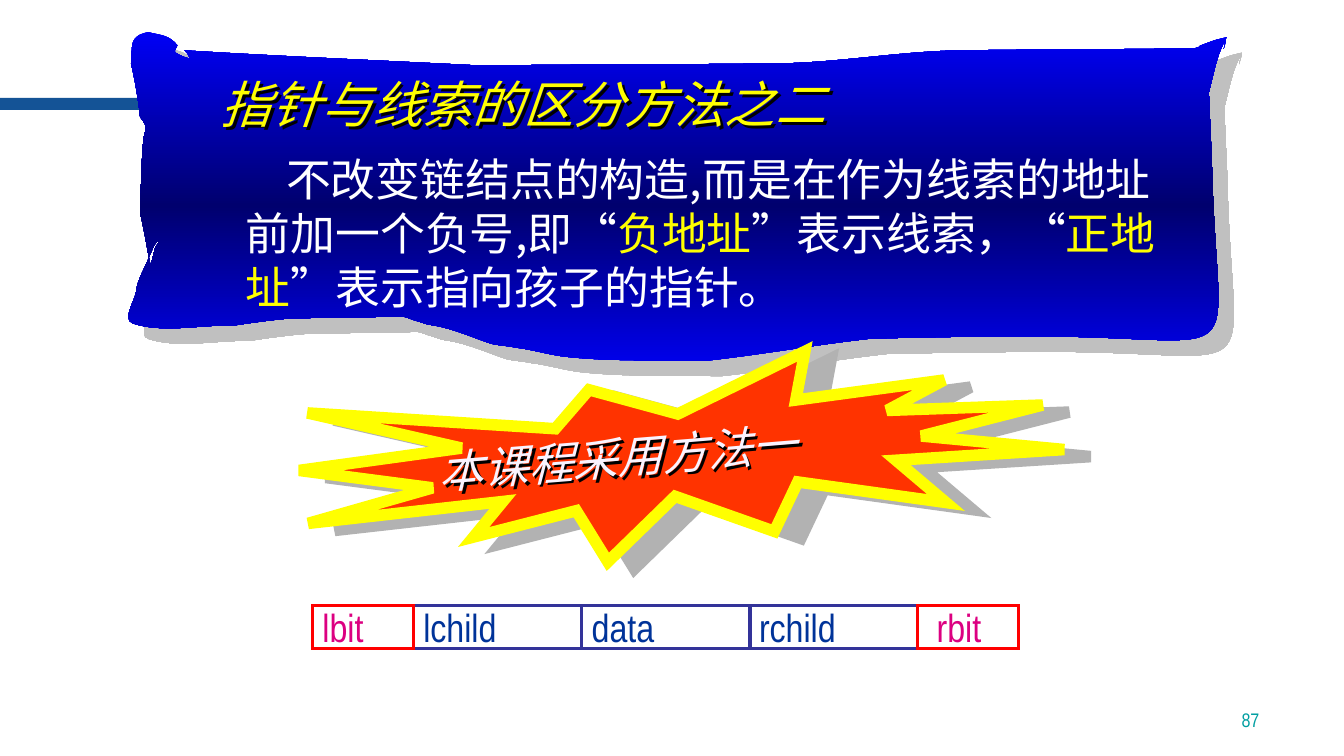
from lxml.etree import SubElement
from pptx import Presentation
from pptx.dml.color import RGBColor
from pptx.enum.shapes import MSO_CONNECTOR, MSO_SHAPE
from pptx.enum.text import MSO_ANCHOR, PP_ALIGN
from pptx.oxml import parse_xml
from pptx.oxml.ns import nsdecls, qn
from pptx.util import Inches, Pt

HEX = dict(bar="145396", blue="0000FF", deep="00006E", white="FFFFFF",
           yellow="FFFF00", shade="C0C0C0", red="FF3300", gray="B2B2B2",
           pale="F9F3FF", navy="003399", edge="333399", hot="FF0000",
           pink="DC0081", teal="009EA1", black="000000")
LATIN, HAN = "Arial Narrow", "Noto Sans CJK SC"

TITLE = "指针与线索的区分方法之二"
BODY = [
    ("不改变链结点的构造,而是在作为线索的地址前加一个负号,即", HAN, "white"),
    ("“", LATIN, "white"), ("负地址", HAN, "yellow"), ("”", LATIN, "white"),
    ("表示线索，", HAN, "white"),
    ("“", LATIN, "white"), ("正地址", HAN, "yellow"), ("”", LATIN, "white"),
    ("表示指向孩子的指针。", HAN, "white"),
]
BURST = "本课程采用方法一"
NUMBER = "87"
FIELDS = [("lchild", 4.1, 1.67, 0.1, "edge", "navy"),
          ("data", 5.77, 1.67, 0.1, "edge", "navy"),
          ("rchild", 7.43, 1.67, 0.1, "edge", "navy"),
          ("lbit", 3.1, 1, 0.1, "hot", "pink"),
          ("rbit", 9.1, 1, 0.19, "hot", "pink")]
START = (1.83, 0.5)
CURVES = [
    (2.8, 0.56, 3.78, 0.6, 4.75, 0.65), (5.74, 0.64, 6.74, 0.64, 7.73, 0.63),
    (8.33, 0.62, 8.93, 0.51, 9.52, 0.5), (10.3, 0.49, 11.07, 0.49, 11.85, 0.48),
    (12.09, 0.4, 11.72, 0.52, 12.02, 0.41), (12.07, 0.39, 12.17, 0.37, 12.17, 0.37),
    (12.08, 0.69, 12.22, 0.21, 12.09, 0.54), (12.05, 0.66, 12.02, 0.8, 11.99, 0.92),
    (12, 1.14, 12.01, 1.37, 12.02, 1.6), (12.07, 3.87, 12.54, 3.3, 9.96, 3.34),
    (9.52, 3.34, 9.08, 3.35, 8.64, 3.36), (8.09, 3.42, 7.55, 3.52, 7, 3.58),
    (6.54, 3.57, 6.07, 3.59, 5.61, 3.54), (5.44, 3.52, 5.29, 3.47, 5.12, 3.45),
    (5.03, 3.43, 4.95, 3.43, 4.87, 3.41), (4.72, 3.36, 4.56, 3.29, 4.4, 3.25),
    (4.34, 3.23, 4.27, 3.23, 4.21, 3.21), (4.16, 3.19, 4.11, 3.18, 4.06, 3.16),
    (4.04, 3.15, 3.99, 3.14, 3.99, 3.14), (3.62, 3.15, 3.26, 3.15, 2.89, 3.16),
    (2.7, 3.17, 2.32, 3.23, 2.32, 3.23), (1.99, 3.22, 1.63, 3.31, 1.32, 3.21),
    (1.21, 3.17, 1.33, 3, 1.35, 2.9), (1.36, 2.77, 1.45, 2.65, 1.49, 2.52),
    (1.5, 2.51, 1.54, 2.39, 1.57, 2.39), (1.59, 2.39, 1.55, 2.44, 1.54, 2.46),
    (1.48, 2.67, 1.55, 2.48, 1.49, 2.63), (1.46, 2.46, 1.43, 2.28, 1.39, 2.11),
    (1.4, 1.88, 1.4, 1.65, 1.42, 1.42), (1.43, 1.26, 1.49, 1.29, 1.39, 1.16),
    (1.37, 0.98, 1.34, 0.8, 1.3, 0.63), (1.32, 0.46, 1.27, 0.36, 1.47, 0.32),
    (1.6, 0.35, 1.68, 0.35, 1.76, 0.45), (1.75, 0.48, 1.72, 0.51, 1.74, 0.52),
    (1.77, 0.55, 1.91, 0.6, 1.88, 0.57), (1.87, 0.54, 1.85, 0.52, 1.83, 0.5),
]


def color(name):
    return RGBColor.from_string(HEX[name])


def cast(shape, tint, dist, angle):
    props = shape._element.spPr
    for old in props.findall(qn("a:effectLst")):
        props.remove(old)
    props.append(parse_xml(
        f'<a:effectLst {nsdecls("a")}><a:outerShdw blurRad="0" '
        f'dist="{Pt(dist)}" dir="{angle * 60000}" algn="ctr" rotWithShape="0">'
        f'<a:srgbClr val="{HEX[tint]}"/></a:outerShdw></a:effectLst>'))


def style(run, size, tint, face=LATIN, slant=False):
    font = run.font
    font.size, font.name = Pt(size), face
    font.bold, font.italic = False, slant
    font.color.rgb = color(tint)
    SubElement(font._element, qn("a:ea")).set("typeface", HAN)


def box(slide, x, y, w, h):
    text = slide.shapes.add_textbox(Inches(x), Inches(y), Inches(w), Inches(h))
    text.text_frame.word_wrap = True
    return text


def block(slide, kind, x, y, w, h, fill=None, line=None, width=2.25):
    shape = slide.shapes.add_shape(kind, Inches(x), Inches(y), Inches(w), Inches(h))
    shape.shadow.inherit = False
    if fill:
        shape.fill.solid()
        shape.fill.fore_color.rgb = color(fill)
    else:
        shape.fill.background()
    if line:
        shape.line.color.rgb = color(line)
        shape.line.width = Pt(width)
        edge = shape._element.spPr.find(qn("a:ln"))
        SubElement(edge, qn("a:miter")).set("lim", "800000")
    else:
        shape.line.fill.background()
    return shape


def rule(slide):
    line = slide.shapes.add_connector(MSO_CONNECTOR.STRAIGHT, Inches(3.68),
                                      Inches(1.02), Inches(6.62), Inches(1.02))
    line.line.color.rgb = color("bar")
    line.line.width = Pt(2.25)
    SubElement(line._element.spPr, qn("a:effectLst"))


def scroll(slide):
    dots = [(Inches(c[i]), Inches(c[i + 1])) for c in CURVES for i in (0, 2, 4)]
    pen = slide.shapes.build_freeform(Inches(START[0]), Inches(START[1]))
    pen.add_line_segments(dots, close=True)
    banner = pen.convert_to_shape()
    props = banner._element.spPr
    legs = list(props.iter(qn("a:lnTo")))
    for i in range(0, len(CURVES) * 3, 3):
        curve = parse_xml(f'<a:cubicBezTo {nsdecls("a")}/>')
        legs[i].addprevious(curve)
        for leg in legs[i:i + 3]:
            curve.append(leg[0])
            leg.getparent().remove(leg)
    banner.line.fill.background()
    banner.fill.gradient()
    banner.fill.gradient_angle = 270
    for stop in banner.fill.gradient_stops:
        stop.color.rgb = color("blue")
    first = props.find(".//" + qn("a:gs"))
    first.addnext(parse_xml(f'<a:gs {nsdecls("a")} pos="50000">'
                            f'<a:srgbClr val="{HEX["deep"]}"/></a:gs>'))
    cast(banner, "shade", 15.6, 45)


def head(slide):
    title = slide.shapes.title
    title._element.getparent().append(title._element)
    title.left, title.top = Inches(2.09), Inches(0.67)
    title.width, title.height = Inches(8.56), Inches(0.71)
    frame = title.text_frame
    frame.text = TITLE
    frame.vertical_anchor = MSO_ANCHOR.MIDDLE
    frame.paragraphs[0].alignment = PP_ALIGN.LEFT
    style(frame.paragraphs[0].runs[0], 36, "yellow", HAN, True)
    title.fill.background()
    cast(title, "black", 2.8, 45)


def note(slide):
    para = box(slide, 2.34, 1.46, 9.6, 1.7).text_frame.paragraphs[0]
    para.line_spacing = Pt(38.4)
    para._p.get_or_add_pPr().set("indent", str(Inches(0.4)))
    for words, face, tint in BODY:
        run = para.add_run()
        run.text = words
        style(run, 32, tint, face)


def burst(slide):
    star = block(slide, MSO_SHAPE.EXPLOSION1, 2.97, 3.59, 7.58, 1.92,
                 "red", "yellow", 8.25)
    cast(star, "gray", 19.6, 15)
    label = box(slide, 4.24, 4.13, 5.9, 0.64)
    label.text_frame.text = BURST
    style(label.text_frame.paragraphs[0].runs[0], 32, "pale", slant=True)
    cast(label, "black", 2.8, 45)
    star.rotation = label.rotation = 355.3


def main():
    deck = Presentation()
    deck.slide_width, deck.slide_height = Inches(13.33), Inches(7.5)
    slide = deck.slides.add_slide(deck.slide_layouts[5])
    block(slide, MSO_SHAPE.RECTANGLE, 0, 0.97, 3.72, 0.12, "bar")
    rule(slide)
    scroll(slide)
    note(slide)
    head(slide)
    burst(slide)
    for name, x, w, inset, line, tint in FIELDS:
        cell = block(slide, MSO_SHAPE.RECTANGLE, x, 6.01, w, 0.42, line=line)
        frame = cell.text_frame
        frame.text = name
        frame.word_wrap = False
        frame.margin_left = Inches(inset)
        frame.vertical_anchor = MSO_ANCHOR.MIDDLE
        frame.paragraphs[0].alignment = PP_ALIGN.LEFT
        style(frame.paragraphs[0].runs[0], 28, tint)
    page = box(slide, 9.81, 6.81, 2.78, 0.5).text_frame
    page.text = NUMBER
    page.vertical_anchor = MSO_ANCHOR.BOTTOM
    page.paragraphs[0].alignment = PP_ALIGN.RIGHT
    style(page.paragraphs[0].runs[0], 14, "teal")
    deck.save("out.pptx")


if __name__ == "__main__":
    main()
